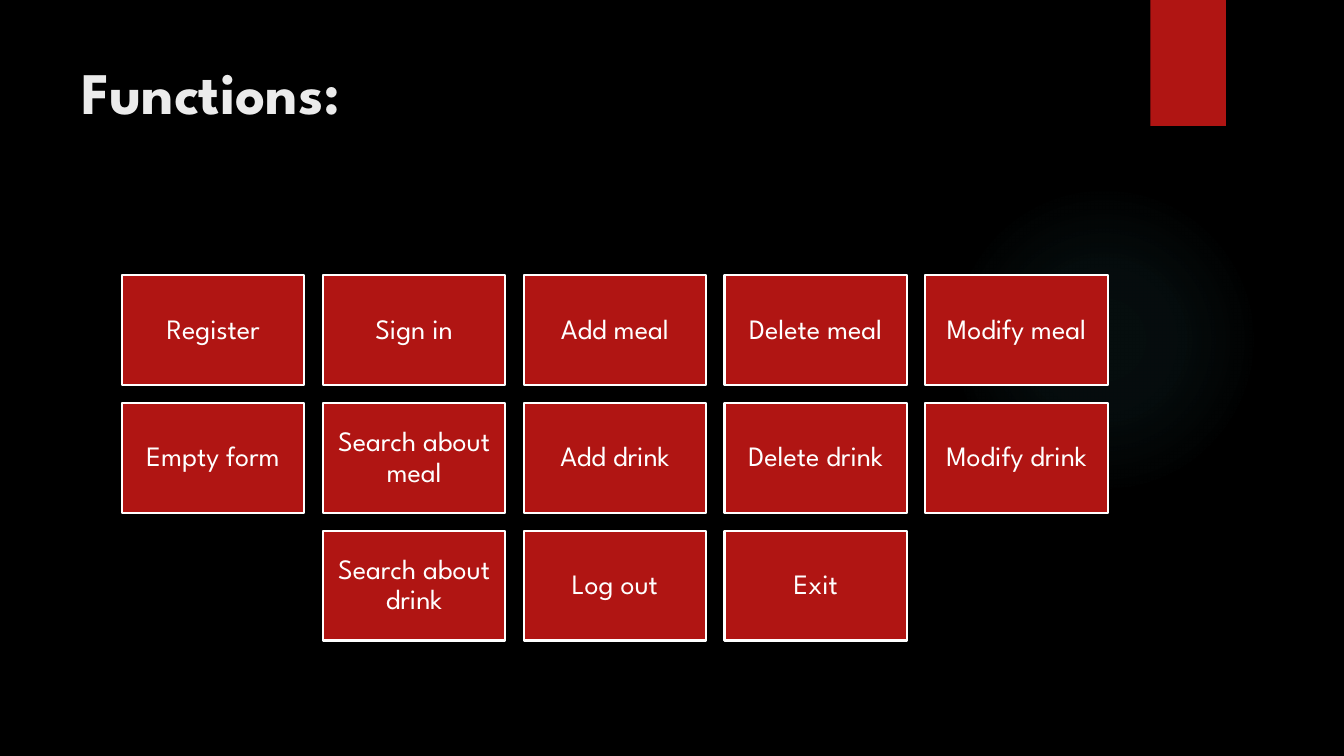
import lxml.etree
import pptx
import pptx.dml.color
import pptx.enum.shapes
import pptx.enum.text
import pptx.oxml
import pptx.oxml.ns
import pptx.util

INK = {"back": "000000", "red": "B01513", "white": "FFFFFF",
       "title": "EBEBEB", "glow": "50B9C1"}
FONT = "League Spartan"
WIDE, HIGH = 13.33, 7.5
LEFT, TOP = 1.21, 2.73
COL, ROW = 1.992, 1.267
TILE = (1.81, 1.09)
ROWS = [
    ["Register", "Sign in", "Add meal", "Delete meal", "Modify meal"],
    ["Empty form", "Search about meal", "Add drink", "Delete drink", "Modify drink"],
    ["Search about drink", "Log out", "Exit"],
]
GLOW = [(0, 7), (36, 6), (69, 0)]
KIND = pptx.enum.shapes.MSO_SHAPE


def tint(name):
    return pptx.dml.color.RGBColor.from_string(INK[name])


def draw(slide, kind, *box):
    """Add a red shape with no line or shadow; box is in inches."""
    shape = slide.shapes.add_shape(kind, *map(pptx.util.Inches, box))
    shape.shadow.inherit = False
    shape.fill.solid()
    shape.fill.fore_color.rgb = tint("red")
    shape.line.fill.background()
    return shape


def style(para, size, color, bold=False):
    for run in para.runs:
        run.font.name = FONT
        run.font.size = pptx.util.Pt(size)
        run.font.bold = bold
        run.font.color.rgb = tint(color)


def add_glow(slide):
    """Add a disc that fades out from its centre."""
    disc = draw(slide, KIND.OVAL, 9.41, 1.83, 3.08, 3.08)
    stops = "".join(
        f'<a:gs pos="{pos * 1000}"><a:srgbClr val="{INK["glow"]}">'
        f'<a:alpha val="{alpha * 1000}"/></a:srgbClr></a:gs>'
        for pos, alpha in GLOW)
    fade = pptx.oxml.parse_xml(
        f'<a:gradFill {pptx.oxml.ns.nsdecls("a")}><a:gsLst>{stops}</a:gsLst>'
        '<a:path path="circle"><a:fillToRect l="50000" t="50000" '
        'r="50000" b="50000"/></a:path></a:gradFill>')
    props = disc.element.spPr
    props.replace(props.find(pptx.oxml.ns.qn("a:solidFill")), fade)


def add_title(slide, text):
    title = slide.shapes.title
    title.left, title.top, title.width, title.height = map(
        pptx.util.Inches, (0.71, 0.5, 10.29, 1.53))
    frame = title.text_frame
    frame.text = text
    frame.auto_size = pptx.enum.text.MSO_AUTO_SIZE.NONE
    frame.vertical_anchor = pptx.enum.text.MSO_ANCHOR.TOP
    para = frame.paragraphs[0]
    para.alignment = pptx.enum.text.PP_ALIGN.LEFT
    style(para, 42, "title", bold=True)


def add_tile(slide, col, row, text):
    tile = draw(slide, KIND.RECTANGLE, LEFT + col * COL, TOP + row * ROW, *TILE)
    tile.line.color.rgb = tint("white")
    tile.line.width = pptx.util.Pt(1.5)
    frame = tile.text_frame
    frame.text = text
    frame.word_wrap = True
    frame.vertical_anchor = pptx.enum.text.MSO_ANCHOR.MIDDLE
    for side in ("left", "right", "top", "bottom"):
        setattr(frame, f"margin_{side}", pptx.util.Inches(0.08))
    para = frame.paragraphs[0]
    para.alignment = pptx.enum.text.PP_ALIGN.CENTER
    para.line_spacing = 0.9
    style(para, 20, "white")


def main():
    deck = pptx.Presentation()
    deck.slide_width = pptx.util.Inches(WIDE)
    deck.slide_height = pptx.util.Inches(HIGH)
    slide = deck.slides.add_slide(deck.slide_layouts.get_by_name("Title Only"))
    slide.background.fill.solid()
    slide.background.fill.fore_color.rgb = tint("back")
    add_glow(slide)
    draw(slide, KIND.RECTANGLE, 11.41, 0, 0.75, HIGH / 6)
    add_title(slide, "Functions:")
    most = max(map(len, ROWS))
    for row, names in enumerate(ROWS):
        start = (most - len(names)) / 2
        for col, name in enumerate(names):
            add_tile(slide, start + col, row, name)
    deck.save("out.pptx")


if __name__ == "__main__":
    main()
